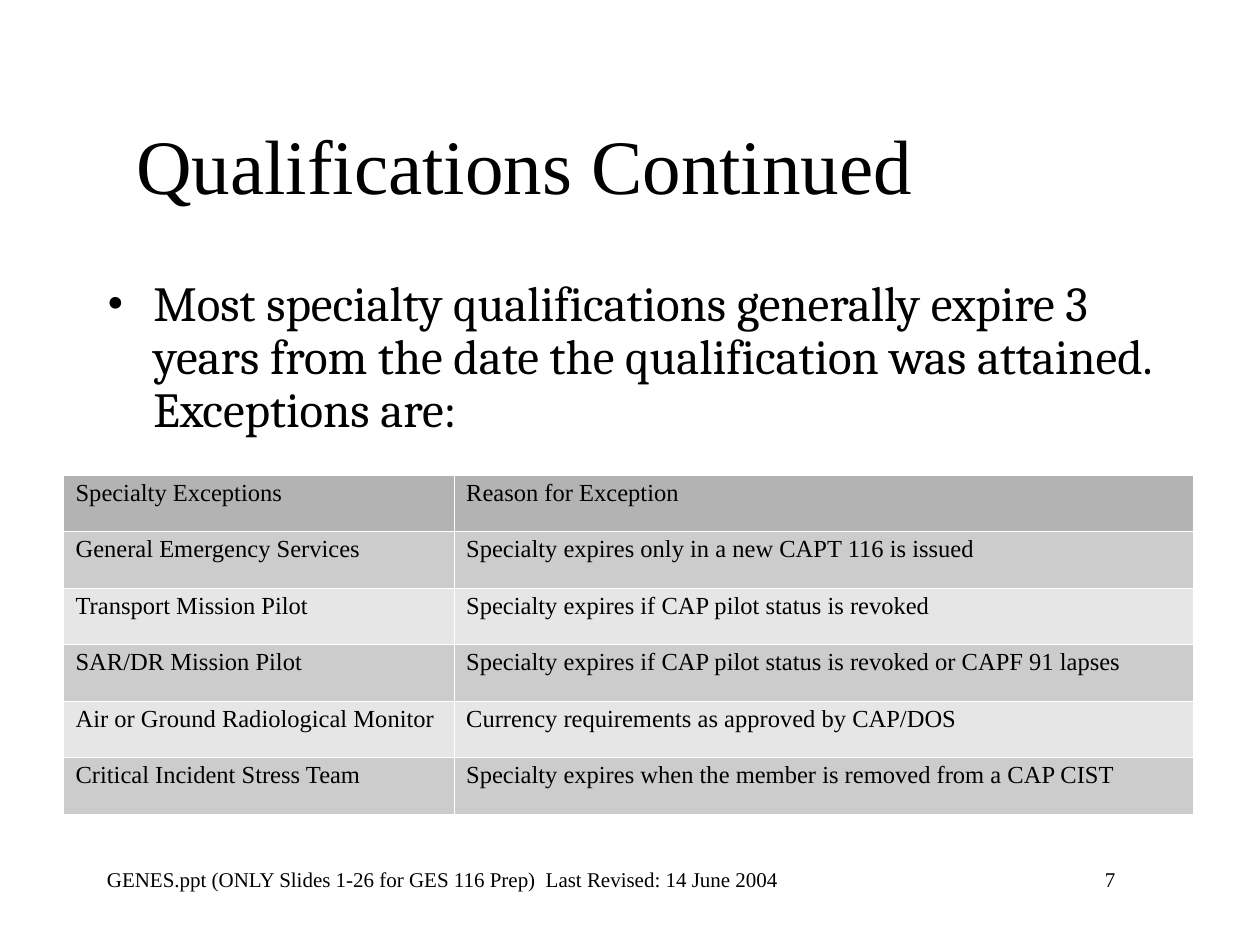
from lxml import etree
from pptx import Presentation
from pptx import util as u
from pptx.dml.color import RGBColor
from pptx.enum import text
from pptx.oxml import ns

COLORS = {
    "text": "000000",
    "border": "FFFFFF",
    "header": "B3B3B3",
    "dark_row": "CCCCCC",
    "light_row": "E6E6E6",
}
SERIF = "Times New Roman"

EXCEPTIONS = [
    ("Specialty Exceptions", "Reason for Exception"),
    ("General Emergency Services", "Specialty expires only in a new CAPT 116 is issued"),
    ("Transport Mission Pilot", "Specialty expires if CAP pilot status is revoked"),
    ("SAR/DR Mission Pilot",
     "Specialty expires if CAP pilot status is revoked or CAPF 91 lapses"),
    ("Air or Ground Radiological Monitor", "Currency requirements as approved by CAP/DOS"),
    ("Critical Incident Stress Team",
     "Specialty expires when the member is removed from a CAP CIST"),
]


def rgb(name):
    return RGBColor.from_string(COLORS[name])


def add_xml(parent, tag, **attributes):
    return etree.SubElement(parent, ns.qn(tag), attributes)


def style_runs(paragraph, size, font_name=SERIF):
    for run in paragraph.runs:
        run.font.size = u.Pt(size)
        run.font.name = font_name
        run.font.color.rgb = rgb("text")


def add_text(slide, box, words, size, font_name=SERIF):
    """Place a wrapped one-paragraph text box and return its frame."""
    frame = slide.shapes.add_textbox(*map(u.Inches, box)).text_frame
    frame.word_wrap = True
    frame.text = words
    style_runs(frame.paragraphs[0], size, font_name)
    return frame


def add_title(slide, box):
    frame = add_text(slide, box, "Qualifications Continued", 44)
    frame.vertical_anchor = text.MSO_ANCHOR.MIDDLE
    frame.paragraphs[0].alignment = text.PP_ALIGN.CENTER


def add_statement(slide, box):
    words = ("Most specialty qualifications generally expire 3 years from the date "
             "the qualification was attained. Exceptions are:")
    statement = add_text(slide, box, words, 28, "Cambria").paragraphs[0]
    statement.line_spacing = 0.9

    # Hanging bullet
    properties = statement._p.get_or_add_pPr()
    indent = u.Inches(0.37)
    properties.set("marL", str(indent))
    properties.set("indent", str(-indent))
    bullet_color = add_xml(properties, "a:buClr")
    add_xml(bullet_color, "a:srgbClr", val=COLORS["text"])
    add_xml(properties, "a:buFont", typeface=SERIF)
    add_xml(properties, "a:buChar", char="•")


def add_borders(cell):
    properties = cell._tc.get_or_add_tcPr()
    for side in ("a:lnL", "a:lnR", "a:lnT", "a:lnB"):
        line = add_xml(properties, side, w=str(u.Pt(0.06)))
        fill = add_xml(line, "a:solidFill")
        add_xml(fill, "a:srgbClr", val=COLORS["border"])


def row_color(row):
    if row == 0:
        return "header"
    return "dark_row" if row % 2 else "light_row"


def add_exceptions(slide, box, first_column=3.1):
    frame = slide.shapes.add_table(len(EXCEPTIONS), 2, *map(u.Inches, box))
    table = frame.table
    table.columns[0].width = u.Inches(first_column)
    table.columns[1].width = u.Inches(box[2] - first_column)
    for row, entries in enumerate(EXCEPTIONS):
        for column, words in enumerate(entries):
            cell = table.cell(row, column)
            add_borders(cell)
            cell.fill.solid()
            cell.fill.fore_color.rgb = rgb(row_color(row))
            cell.text_frame.text = words
            entry = cell.text_frame.paragraphs[0]
            entry.line_spacing = 0.93
            style_runs(entry, 14)


def add_footer(slide, box):
    left, top, width, height = box
    number_width = 0.75
    revision = "GENES.ppt (ONLY Slides 1-26 for GES 116 Prep)  Last Revised: 14 June 2004"
    add_text(slide, (left, top, 5.75, height), revision, 12)
    add_text(slide, (left + width - number_width, top, number_width, height), "7", 12)


def main():
    deck = Presentation()
    deck.slide_width, deck.slide_height = u.Inches(10), u.Inches(7.5)
    slide = deck.slides.add_slide(deck.slide_layouts[6])
    add_footer(slide, (0.75, 6.83, 8.67, 0.3))
    add_title(slide, (0.75, 0.67, 6.83, 1.25))
    add_statement(slide, (0.75, 2.17, 8.5, 1.5))
    add_exceptions(slide, (0.5, 3.77, 8.97, 2.69))
    deck.save("out.pptx")


if __name__ == "__main__":
    main()
